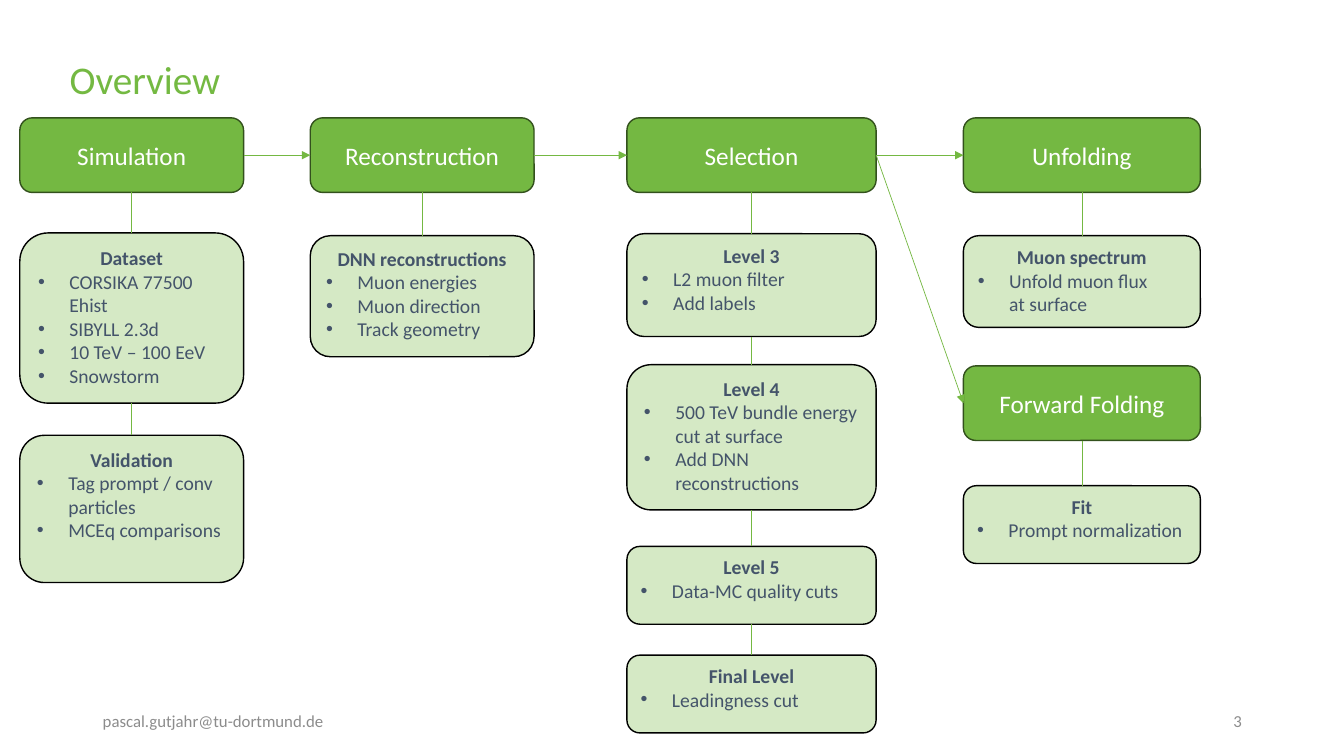
from dataclasses import dataclass

from lxml import etree
from pptx import Presentation
from pptx.dml.color import RGBColor
from pptx.enum import shapes, text
from pptx.oxml import ns
from pptx.util import Cm, Pt


@dataclass(frozen=True)
class Theme:
    font: str = "Calibri"
    title_color: str = "74B942"
    green: str = "74B842"
    border: str = "33511D"
    black: str = "000000"
    white: str = "FFFFFF"
    body_color: str = "44546A"
    footer_color: str = "8C8C8C"
    title_size: int = 28
    stage_size: int = 18
    body_size: int = 14
    footer_size: int = 12
    card_alpha: int = 30


T = Theme()
TOP, STAGE_H, INDENT = 2.97, 1.88, 0.79
TOP_SITE, LEFT_SITE, BOTTOM_SITE, RIGHT_SITE = range(4)

# Each column: left, width, then (kind, gap above, height, heading, bullets).
COLUMNS = [
    (0.5, 5.64, [
        ("stage", 0, STAGE_H, "Simulation", []),
        ("card", 1.02, 4.29, "Dataset", ["CORSIKA 77500 Ehist", "SIBYLL 2.3d",
                                         "10 TeV – 100 EeV", "Snowstorm"]),
        ("card", 0.81, 3.71, "Validation", ["Tag prompt / conv particles",
                                            "MCEq comparisons"]),
    ]),
    (7.82, 5.64, [
        ("stage", 0, STAGE_H, "Reconstruction", []),
        ("card", 1.09, 3.05, "DNN reconstructions", ["Muon energies", "Muon direction",
                                                     "Track geometry"]),
    ]),
    (15.8, 6.28, [
        ("stage", 0, STAGE_H, "Selection", []),
        ("card", 1.04, 2.59, "Level 3", ["L2 muon filter", "Add labels"]),
        ("card", 0.71, 3.66, "Level 4", ["500 TeV bundle energy cut at surface",
                                         "Add DNN reconstructions"]),
        ("card", 0.92, 1.96, "Level 5", ["Data-MC quality cuts"]),
        ("card", 0.78, 1.96, "Final Level", ["Leadingness cut"]),
    ]),
    (24.28, 5.97, [
        ("stage", 0, STAGE_H, "Unfolding", []),
        ("card", 1.09, 2.31, "Muon spectrum", ["Unfold muon flux\nat surface"]),
        ("stage", 0.97, STAGE_H, "Forward Folding", []),
        ("card", 1.14, 1.96, "Fit", ["Prompt normalization"]),
    ]),
]


def rgb(color):
    return RGBColor.from_string(color)


def add_text(p, words, size, color, bold=False):
    """Add words as runs, with a line break at each newline."""
    for i, line in enumerate(words.split("\n")):
        if i:
            p.add_line_break()
        r = p.add_run()
        r.text = line
        r.font.name, r.font.size, r.font.bold = T.font, Pt(size), bold
        r.font.color.rgb = rgb(color)


def add_bullet(p):
    p.alignment = text.PP_ALIGN.LEFT
    pPr = p._p.get_or_add_pPr()
    pPr.set("marL", str(Cm(INDENT)))
    pPr.set("indent", str(-Cm(INDENT)))
    etree.SubElement(pPr, ns.qn("a:buFont")).set("typeface", "Arial")
    etree.SubElement(pPr, ns.qn("a:buChar")).set("char", "•")


def add_box(s, box, line_color, anchor):
    """Add a green rounded box and return it with its centred first paragraph."""
    sp = s.shapes.add_shape(shapes.MSO_SHAPE.ROUNDED_RECTANGLE, *map(Cm, box))
    sp.shadow.inherit = False
    sp.fill.solid()
    sp.fill.fore_color.rgb = rgb(T.green)
    sp.line.color.rgb = rgb(line_color)
    sp.line.width = Pt(1)
    tf = sp.text_frame
    tf.word_wrap = True
    tf.vertical_anchor = anchor
    p = tf.paragraphs[0]
    p.alignment = text.PP_ALIGN.CENTER
    return sp, p


def add_stage(s, box, heading):
    sp, p = add_box(s, box, T.border, text.MSO_ANCHOR.MIDDLE)
    add_text(p, heading, T.stage_size, T.white)
    return sp


def add_card(s, box, heading, bullets):
    sp, p = add_box(s, box, T.black, text.MSO_ANCHOR.TOP)
    fill = sp._element.spPr.find(ns.qn("a:solidFill"))
    etree.SubElement(fill[0], ns.qn("a:alpha")).set("val", str(T.card_alpha * 1000))
    add_text(p, heading, T.body_size, T.body_color, bold=True)
    for words in bullets:
        p = sp.text_frame.add_paragraph()
        add_bullet(p)
        add_text(p, words, T.body_size, T.body_color)
    return sp


def link(s, start, start_site, end, end_site, arrow=False):
    """Join two boxes at the given connection sites."""
    c = s.shapes.add_connector(shapes.MSO_CONNECTOR.STRAIGHT, 0, 0, 0, 0)
    c.begin_connect(start, start_site)
    c.end_connect(end, end_site)
    c.line.color.rgb = rgb(T.green)
    c.line.width = Pt(0.5)
    if arrow:
        ln = c.line._get_or_add_ln()
        etree.SubElement(ln, ns.qn("a:tailEnd")).set("type", "triangle")
    etree.SubElement(c._element.spPr, ns.qn("a:effectLst"))


def add_column(s, left, top, width, items):
    """Stack the items downwards, link each card to the box above, return the stages."""
    stages, above, y = [], None, top
    for kind, gap, height, heading, bullets in items:
        y += gap
        box = left, y, width, height
        if kind == "stage":
            sp = add_stage(s, box, heading)
            stages.append(sp)
        else:
            sp = add_card(s, box, heading, bullets)
            link(s, above, BOTTOM_SITE, sp, TOP_SITE)
        above, y = sp, y + height
    return stages


def add_title(s, box, words):
    sp = s.shapes.title
    sp.left, sp.top, sp.width, sp.height = map(Cm, box)
    tf = sp.text_frame
    tf.vertical_anchor = text.MSO_ANCHOR.MIDDLE
    p = tf.paragraphs[0]
    p.alignment = text.PP_ALIGN.LEFT
    p.line_spacing = 0.9
    add_text(p, words, T.title_size, T.title_color)


def add_footer(s, box, author, number):
    """Place the author at the left end of the box and the number at the right."""
    left, top, width, height = box
    w = 7.62
    for x, words, align in ((left, author, text.PP_ALIGN.LEFT),
                            (left + width - w, number, text.PP_ALIGN.RIGHT)):
        tf = s.shapes.add_textbox(Cm(x), Cm(top), Cm(w), Cm(height)).text_frame
        tf.word_wrap = True
        tf.vertical_anchor = text.MSO_ANCHOR.MIDDLE
        p = tf.paragraphs[0]
        p.alignment = align
        add_text(p, words, T.footer_size, T.footer_color)


def add_overview(prs):
    s = prs.slides.add_slide(prs.slide_layouts[5])
    add_title(s, (1.5, 1.02, 31.98, 2.06), "Overview")
    add_footer(s, (2.34, 17.65, 29.21, 1.02), "pascal.gutjahr@tu-dortmund.de", "3")
    columns = [add_column(s, left, TOP, width, items) for left, width, items in COLUMNS]
    for sources, targets in zip(columns, columns[1:]):
        for target in targets:
            link(s, sources[0], RIGHT_SITE, target, LEFT_SITE, arrow=True)


def main():
    prs = Presentation()
    prs.slide_width, prs.slide_height = Cm(33.87), Cm(19.05)
    add_overview(prs)
    prs.save("out.pptx")


if __name__ == "__main__":
    main()
